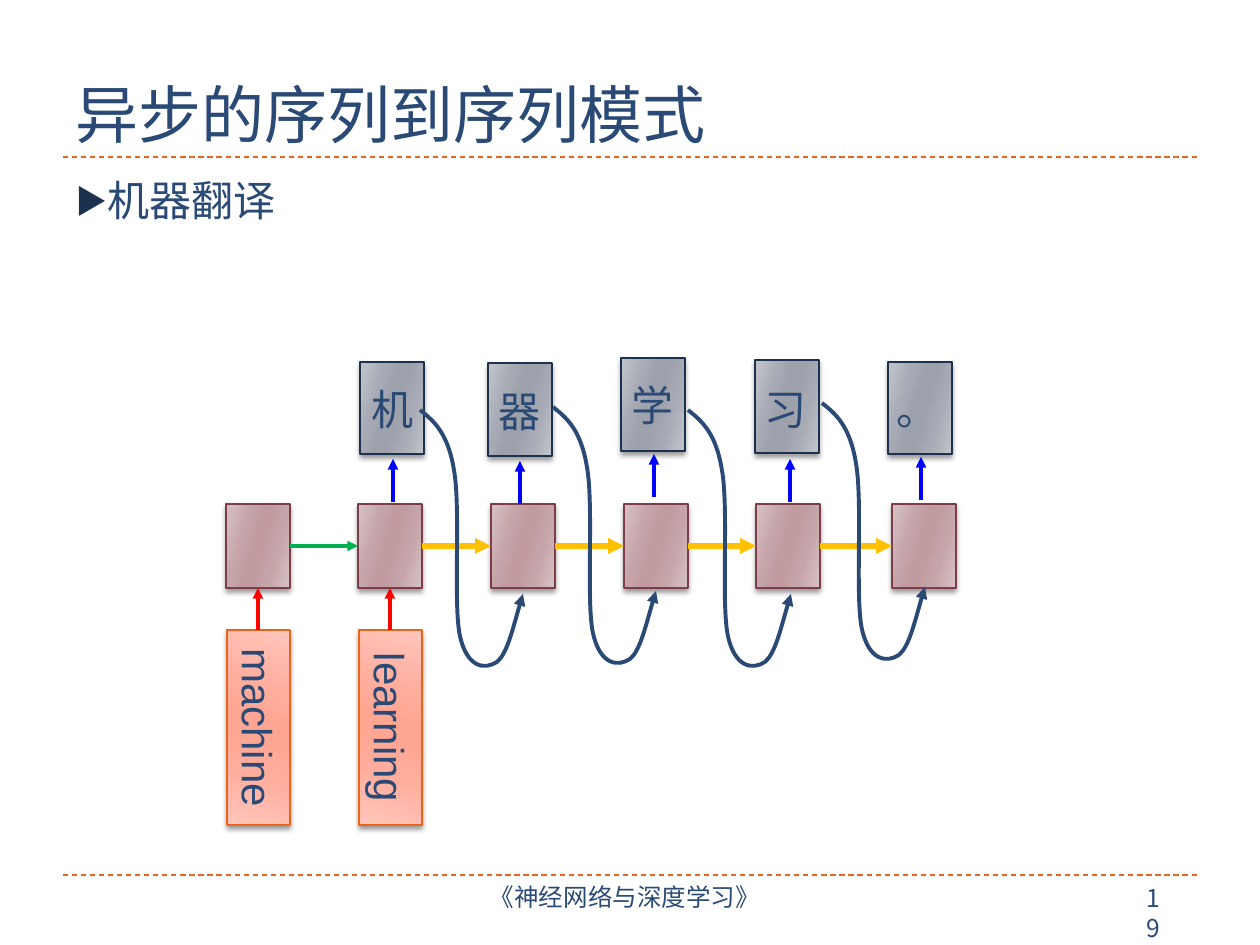
from dataclasses import dataclass

from lxml.etree import SubElement
from pptx import Presentation
from pptx.dml.color import RGBColor
from pptx.enum.dml import MSO_LINE
from pptx.enum.shapes import MSO_CONNECTOR, MSO_SHAPE
from pptx.enum.text import MSO_ANCHOR as Anchor
from pptx.enum.text import MSO_AUTO_SIZE as AutoSize
from pptx.enum.text import PP_ALIGN as Align
from pptx.oxml.ns import qn
from pptx.util import Emu, Pt

EMU_PER_PX = 914400 / 126
CJK, LATIN = "Noto Sans CJK SC", "Arial"
INK, NAVY, ORANGE = "2A4A75", "1C314E", "EB641B"
RED, BLUE, GREEN, YELLOW = "FF0000", "0000FF", "00B050", "FFC000"
STOP_POSITIONS = (0, 30, 45, 55, 73, 100)
FEEDBACK_CONTROLS = (
    (14, 11), (28, 23), (34, 60),
    (41, 98), (33, 194), (40, 226),
    (47, 258), (65, 260), (77, 252),
    (87, 244), (94, 214), (103, 184),
)


@dataclass(frozen=True)
class Style:
    """Gradient tones from edge to centre, and the outline colour."""
    edge: str
    middle: str
    centre: str
    outline: str


@dataclass(frozen=True)
class Output:
    """A decoded character with its box and the arrow that leads to it."""
    character: str
    left: int
    top: int
    height: int
    text_left: int
    text_top: int
    arrow_x: int
    arrow_top: int


STATE = Style("D7C2C5", "C6A5AA", "C19BA0", "7D3C4A")
OUTPUT = Style("C3C5CB", "A7AAB4", "9DA1AC", NAVY)
INPUT = Style("FFC6BC", "FFAE9E", "FFA693", ORANGE)

STATE_LEFTS = (226, 358, 491, 624, 756, 892)
INPUT_WORDS = ("machine", "learning")
OUTPUTS = (
    Output("机", 360, 362, 92, 349, 377, 393, 459),
    Output("器", 488, 363, 93, 476, 379, 520, 461),
    Output("学", 621, 358, 93, 609, 373, 654, 454),
    Output("习", 755, 360, 93, 742, 377, 790, 459),
    Output("。", 888, 362, 92, 874, 377, 921, 457),
)
FEEDBACK_STARTS = ((420, 410), (553, 407), (688, 410), (822, 403))


def px(length: int) -> Emu:
    """Turn pixels into EMU."""
    return Emu(round(length * EMU_PER_PX))


def colour(value: str) -> RGBColor:
    """Turn a hex string into a colour."""
    return RGBColor.from_string(value)


def add_text(frame, text: str, size: int, font: str, align=Align.LEFT, anchor=Anchor.TOP):
    """Write one run in the first paragraph of a text frame."""
    frame.word_wrap = True
    frame.auto_size = AutoSize.NONE
    frame.vertical_anchor = anchor
    paragraph = frame.paragraphs[0]
    paragraph.alignment = align
    run = paragraph.add_run()
    run.text = text
    run.font.size = Pt(size)
    run.font.name = font
    run.font.color.rgb = colour(INK)
    SubElement(run.font._element, qn("a:ea"), typeface=CJK)


def add_label(slide, box: tuple, text: str, size: int, font: str, align=Align.LEFT):
    """Add a text box and return its frame."""
    frame = slide.shapes.add_textbox(*map(px, box)).text_frame
    add_text(frame, text, size, font, align)
    return frame


def add_bullet(paragraph):
    """Give a paragraph a hanging triangle bullet."""
    properties = paragraph._p.get_or_add_pPr()
    properties.set("marL", str(px(28)))
    properties.set("indent", str(px(-28)))
    bullet_colour = SubElement(properties, qn("a:buClr"))
    SubElement(bullet_colour, qn("a:srgbClr"), val=NAVY)
    SubElement(properties, qn("a:buSzPct"), val="76000")
    SubElement(properties, qn("a:buFont"), typeface=CJK)
    SubElement(properties, qn("a:buChar"), char="▶")


def add_box(slide, box: tuple, style: Style):
    """Add a rectangle with a glossy gradient and a soft shadow."""
    shape = slide.shapes.add_shape(MSO_SHAPE.RECTANGLE, *map(px, box))
    shape.fill.gradient()
    gradient = shape._element.spPr.find(qn("a:gradFill"))
    stops = gradient.find(qn("a:gsLst"))
    stops.clear()
    tones = (style.edge, style.middle, style.centre)
    for position, tone in zip(STOP_POSITIONS, tones + tones[::-1]):
        stop = SubElement(stops, qn("a:gs"), pos=str(position * 1000))
        SubElement(stop, qn("a:srgbClr"), val=tone)
    gradient.find(qn("a:lin")).set("ang", str(16 * 60000))
    shape.line.color.rgb = colour(style.outline)
    shape.line.width = Pt(0.75)
    shape.shadow.inherit = False
    shadow = SubElement(
        shape._element.spPr.find(qn("a:effectLst")), qn("a:outerShdw"),
        blurRad=str(Pt(3)), dist=str(Pt(2)), dir=str(90 * 60000), rotWithShape="0")
    shade = SubElement(shadow, qn("a:srgbClr"), val="000000")
    SubElement(shade, qn("a:alpha"), val="40000")
    return shape


def add_arrowhead(line):
    """Put a triangle at the end of a line."""
    SubElement(line._get_or_add_ln(), qn("a:tailEnd"), type="triangle")


def add_line(slide, start: tuple, end: tuple, hue: str, width: float):
    """Add a straight connector without a shadow."""
    connector = slide.shapes.add_connector(MSO_CONNECTOR.STRAIGHT, *map(px, start + end))
    connector.line.color.rgb = colour(hue)
    connector.line.width = Pt(width)
    SubElement(connector._element.spPr, qn("a:effectLst"))
    return connector


def add_arrow(slide, start: tuple, end: tuple, hue: str, width: float = 2):
    """Add a straight arrow."""
    connector = add_line(slide, start, end, hue, width)
    add_arrowhead(connector.line)
    return connector


def bend(freeform):
    """Turn each three line segments of a freeform into one cubic curve."""
    segments = list(freeform._element.iter(qn("a:lnTo")))
    for first, *others in zip(*[iter(segments)] * 3):
        first.tag = qn("a:cubicBezTo")
        for segment in others:
            first.append(segment[0])
            segment.getparent().remove(segment)


def add_feedback(slide, start: tuple):
    """Draw the curved arrow from an output to the next state."""
    left, top = start
    builder = slide.shapes.build_freeform(px(left), px(top))
    controls = [(px(left + x), px(top + y)) for x, y in FEEDBACK_CONTROLS]
    builder.add_line_segments(controls, close=False)
    curve = builder.convert_to_shape()
    bend(curve)
    curve.fill.background()
    curve.line.color.rgb = colour(INK)
    curve.line.width = Pt(2.25)
    curve.shadow.inherit = False
    add_arrowhead(curve.line)


def main():
    """Build the slide and save it."""
    deck = Presentation()
    deck.slide_width, deck.slide_height = px(1260), px(945)
    slide = deck.slides.add_slide(deck.slide_layouts[5])

    title = slide.shapes.title
    title.left, title.top, title.width, title.height = map(px, (63, 21, 1134, 136))
    add_text(title.text_frame, "异步的序列到序列模式", 36, CJK, anchor=Anchor.BOTTOM)
    for y in (157, 875):
        add_line(slide, (63, y), (1197, y), ORANGE, 0.75).line.dash_style = MSO_LINE.DASH
    topic = add_label(slide, (63, 168, 1134, 680), "机器翻译", 24, CJK)
    add_bullet(topic.paragraphs[0])
    footer = add_label(slide, (420, 877, 410, 50), "《神经网络与深度学习》", 14, CJK, Align.CENTER)
    footer.margin_top = footer.margin_bottom = px(5)
    add_label(slide, (1134, 877, 52, 43), "19", 14, CJK)

    states = [add_box(slide, (left, 504, 64, 84), STATE) for left in STATE_LEFTS]
    for index, (source, target) in enumerate(zip(states, states[1:])):
        hue, width = (YELLOW, 3) if index else (GREEN, 2)
        step = add_arrow(slide, (0, 0), (0, 0), hue, width)
        step.begin_connect(source, 3)
        step.end_connect(target, 1)

    for word, left, state in zip(INPUT_WORDS, STATE_LEFTS, states):
        word_box = add_box(slide, (left - 65, 696, 195, 63), INPUT)
        word_box.rotation = 90
        add_text(word_box.text_frame, word, 24, LATIN, Align.CENTER)
        feed = add_arrow(slide, (left + 32, 630), (left + 32, 588), RED)
        feed.end_connect(state, 2)

    for item in OUTPUTS:
        add_box(slide, (item.left, item.top, 64, item.height), OUTPUT)
        add_label(slide, (item.text_left, item.text_top, 87, 63), item.character, 24, LATIN, Align.CENTER)
        add_arrow(slide, (item.arrow_x, item.arrow_top + 43), (item.arrow_x, item.arrow_top), BLUE)

    for start in FEEDBACK_STARTS:
        add_feedback(slide, start)

    deck.save("out.pptx")


if __name__ == "__main__":
    main()
